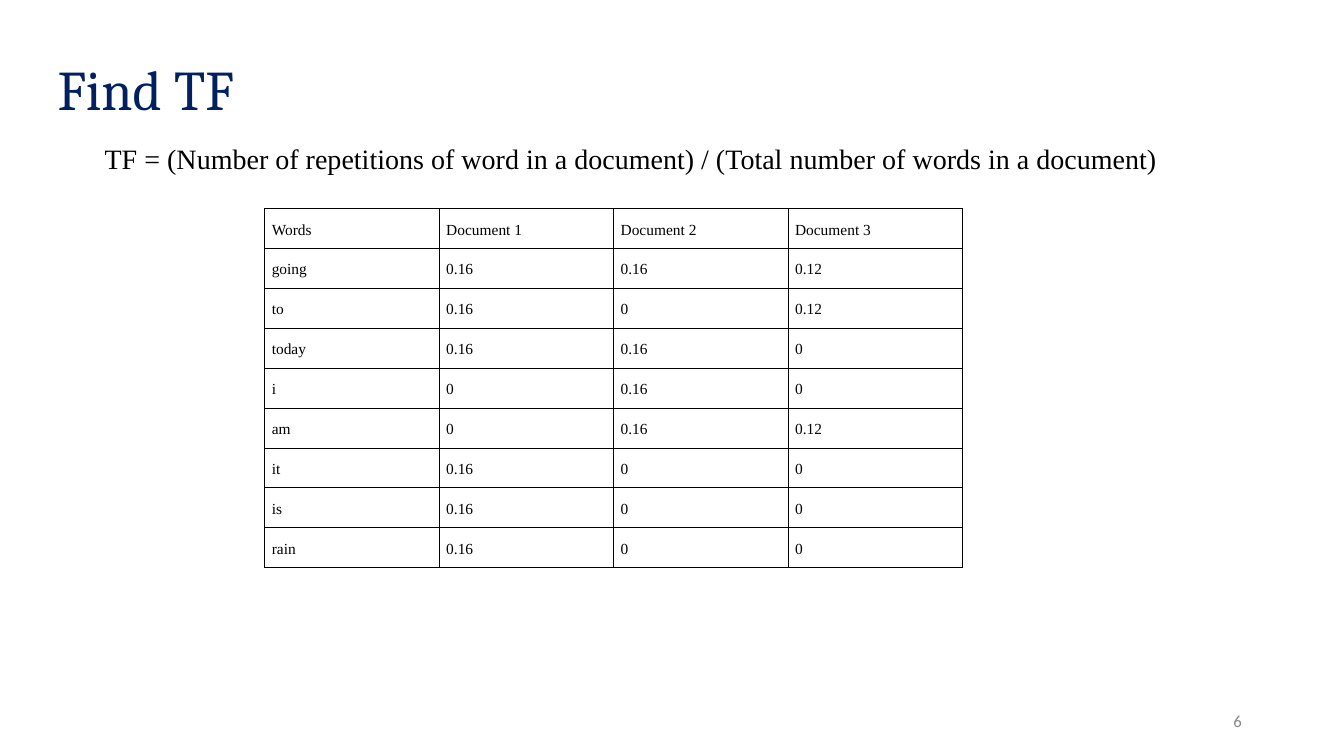
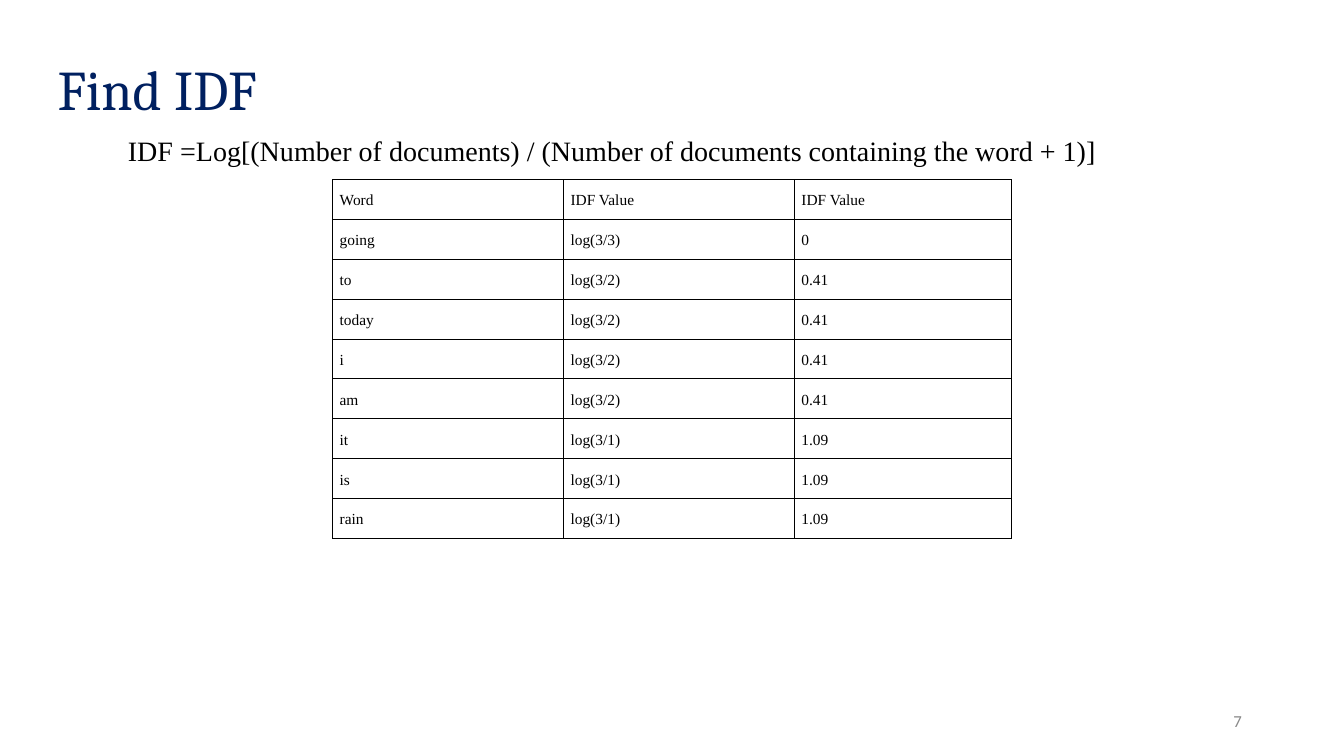
"""Build two slides that show how TF and IDF values are found."""
from dataclasses import dataclass
from typing import Any, NamedTuple

from lxml import etree
from pptx import Presentation
from pptx.dml.color import RGBColor
from pptx.enum.text import MSO_ANCHOR, MSO_AUTO_SIZE, PP_ALIGN
from pptx.oxml.ns import qn
from pptx.util import Inches, Pt

NAVY = RGBColor(0x00, 0x20, 0x60)
BLACK = RGBColor(0x00, 0x00, 0x00)
GRAY = RGBColor(0x88, 0x88, 0x88)

LEFT, RIGHT, JUSTIFY = PP_ALIGN.LEFT, PP_ALIGN.RIGHT, PP_ALIGN.JUSTIFY
TOP, MIDDLE = MSO_ANCHOR.TOP, MSO_ANCHOR.MIDDLE
FIXED, GROW = MSO_AUTO_SIZE.NONE, MSO_AUTO_SIZE.SHAPE_TO_FIT_TEXT

SLIDE_WIDTH, SLIDE_HEIGHT = Inches(13.33), Inches(7.5)
TITLE_ONLY = 5
FIRST_NUMBER = 6
ROW_HEIGHT = 5.2
BORDER_WIDTH = Pt(0.75)
BORDER_SIDES = ("a:lnL", "a:lnR", "a:lnT", "a:lnB")


class Region(NamedTuple):
    """Place on the slide, in percent of its width and height."""

    left: float
    top: float
    width: float
    height: float


@dataclass(frozen=True)
class TextStyle:
    """Look of one kind of text."""

    font: str
    size: float
    color: RGBColor
    paragraph: dict[str, Any]
    frame: dict[str, Any]


@dataclass(frozen=True)
class Page:
    """Content of one slide."""

    title: str
    formula: str
    formula_region: Region
    formula_fit: MSO_AUTO_SIZE
    formula_space_after: float
    table_left: float
    table_top: float
    columns: tuple[float, ...]
    rows: tuple[tuple[str, ...], ...]


def margins(side: float, end: float) -> dict[str, Any]:
    """Return the insets of a text frame or a cell."""
    return {
        "margin_left": Inches(side),
        "margin_right": Inches(side),
        "margin_top": Inches(end),
        "margin_bottom": Inches(end),
    }


BODY_PARAGRAPH = {"alignment": JUSTIFY, "line_spacing": 1.15, "space_before": Pt(12)}
BOX = {"word_wrap": True, "auto_size": FIXED}

TITLE_STYLE = TextStyle(
    "Cambria", 40, NAVY, {"alignment": LEFT, "line_spacing": 0.9},
    BOX | margins(0.1, 0.05) | {"vertical_anchor": MIDDLE},
)
NUMBER_STYLE = TextStyle(
    "Calibri", 12, GRAY, {"alignment": RIGHT},
    BOX | margins(0.1, 0.05) | {"vertical_anchor": MIDDLE},
)
FORMULA_STYLE = TextStyle(
    "Times New Roman", 20, BLACK, BODY_PARAGRAPH,
    BOX | margins(0.1, 0.1) | {"vertical_anchor": TOP},
)
CELL_STYLE = TextStyle(
    "Times New Roman", 11, BLACK, BODY_PARAGRAPH,
    margins(0.07, 0.1) | {"vertical_anchor": TOP},
)

TITLE_REGION = Region(3.53, 1.33, 84.25, 21.73)
NUMBER_REGION = Region(70.65, 92.67, 22.5, 5.33)

PAGES = (
    Page(
        title="Find TF",
        formula="TF = (Number of repetitions of word in a document) / "
                "(Total number of words in a document)",
        formula_region=Region(7.05, 16.67, 90.23, 18.67),
        formula_fit=FIXED,
        formula_space_after=0,
        table_left=19.7,
        table_top=27.6,
        columns=(12.98,) * 4,
        rows=(
            ("Words", "Document 1", "Document 2", "Document 3"),
            ("going", "0.16", "0.16", "0.12"),
            ("to", "0.16", "0", "0.12"),
            ("today", "0.16", "0.16", "0"),
            ("i", "0", "0.16", "0"),
            ("am", "0", "0.16", "0.12"),
            ("it", "0.16", "0", "0"),
            ("is", "0.16", "0", "0"),
            ("rain", "0.16", "0", "0"),
        ),
    ),
    Page(
        title="Find IDF",
        formula="IDF =Log[(Number of documents) / "
                "(Number of documents containing the word + 1)]",
        formula_region=Region(8.78, 15.6, 86.78, 7.2),
        formula_fit=GROW,
        formula_space_after=12,
        table_left=24.75,
        table_top=23.75,
        columns=(17.18, 17.18, 16.18),
        rows=(
            ("Word", "IDF Value", "IDF Value"),
            ("going", "log(3/3)", "0"),
            ("to", "log(3/2)", "0.41"),
            ("today", "log(3/2)", "0.41"),
            ("i", "log(3/2)", "0.41"),
            ("am", "log(3/2)", "0.41"),
            ("it", "log(3/1)", "1.09"),
            ("is", "log(3/1)", "1.09"),
            ("rain", "log(3/1)", "1.09"),
        ),
    ),
)


def across(share: float) -> int:
    """Turn a percentage of the slide's width into a length."""
    return round(SLIDE_WIDTH * share / 100)


def down(share: float) -> int:
    """Turn a percentage of the slide's height into a length."""
    return round(SLIDE_HEIGHT * share / 100)


def lengths(region: Region) -> tuple[int, int, int, int]:
    """Turn a region into left, top, width and height."""
    return (across(region.left), down(region.top),
            across(region.width), down(region.height))


def set_attributes(target: Any, values: dict[str, Any]) -> None:
    """Set every named attribute on the target."""
    for name, value in values.items():
        setattr(target, name, value)


def write_text(holder: Any, frame: Any, text: str, style: TextStyle) -> None:
    """Write one styled paragraph; the holder carries the insets."""
    set_attributes(holder, style.frame)
    para = frame.paragraphs[0]
    set_attributes(para, style.paragraph)
    span = para.add_run()
    span.text = text
    set_attributes(span.font, {"name": style.font, "size": Pt(style.size)})
    span.font.color.rgb = style.color


def add_text(slide: Any, region: Region, text: str, style: TextStyle) -> Any:
    """Add a text box and return its frame."""
    frame = slide.shapes.add_textbox(*lengths(region)).text_frame
    write_text(frame, frame, text, style)
    return frame


def add_title(slide: Any, text: str) -> None:
    """Place and fill the title placeholder."""
    title = slide.shapes.title
    names = ("left", "top", "width", "height")
    set_attributes(title, dict(zip(names, lengths(TITLE_REGION))))
    write_text(title.text_frame, title.text_frame, text, TITLE_STYLE)


def add_borders(cell: Any) -> None:
    """Draw a thin black line on all sides of a cell."""
    properties = cell._tc.get_or_add_tcPr()
    for position, side in enumerate(BORDER_SIDES):
        line = etree.Element(qn(side), w=str(BORDER_WIDTH))
        fill = etree.SubElement(line, qn("a:solidFill"))
        etree.SubElement(fill, qn("a:srgbClr"), val=str(BLACK))
        properties.insert(position, line)


def add_word_table(slide: Any, page: Page) -> None:
    """Add the table of words and their values."""
    region = Region(page.table_left, page.table_top,
                    sum(page.columns), ROW_HEIGHT * len(page.rows))
    table = slide.shapes.add_table(
        len(page.rows), len(page.columns), *lengths(region)).table
    set_attributes(table, {"first_row": False, "horz_banding": False})
    for column, share in zip(table.columns, page.columns):
        column.width = across(share)
    for row, texts in zip(table.rows, page.rows):
        row.height = down(ROW_HEIGHT)
        for cell, text in zip(row.cells, texts):
            write_text(cell, cell.text_frame, text, CELL_STYLE)
            cell.fill.background()
            add_borders(cell)


def add_page(deck: Any, page: Page, number: int) -> None:
    """Add one slide with title, number, table and formula."""
    slide = deck.slides.add_slide(deck.slide_layouts[TITLE_ONLY])
    add_title(slide, page.title)
    add_text(slide, NUMBER_REGION, str(number), NUMBER_STYLE)
    add_word_table(slide, page)
    frame = add_text(slide, page.formula_region, page.formula, FORMULA_STYLE)
    frame.auto_size = page.formula_fit
    frame.paragraphs[0].space_after = Pt(page.formula_space_after)


def main() -> None:
    """Build and save the deck."""
    deck = Presentation()
    set_attributes(deck, {"slide_width": SLIDE_WIDTH, "slide_height": SLIDE_HEIGHT})
    for number, page in enumerate(PAGES, start=FIRST_NUMBER):
        add_page(deck, page, number)
    deck.save("out.pptx")


if __name__ == "__main__":
    main()
